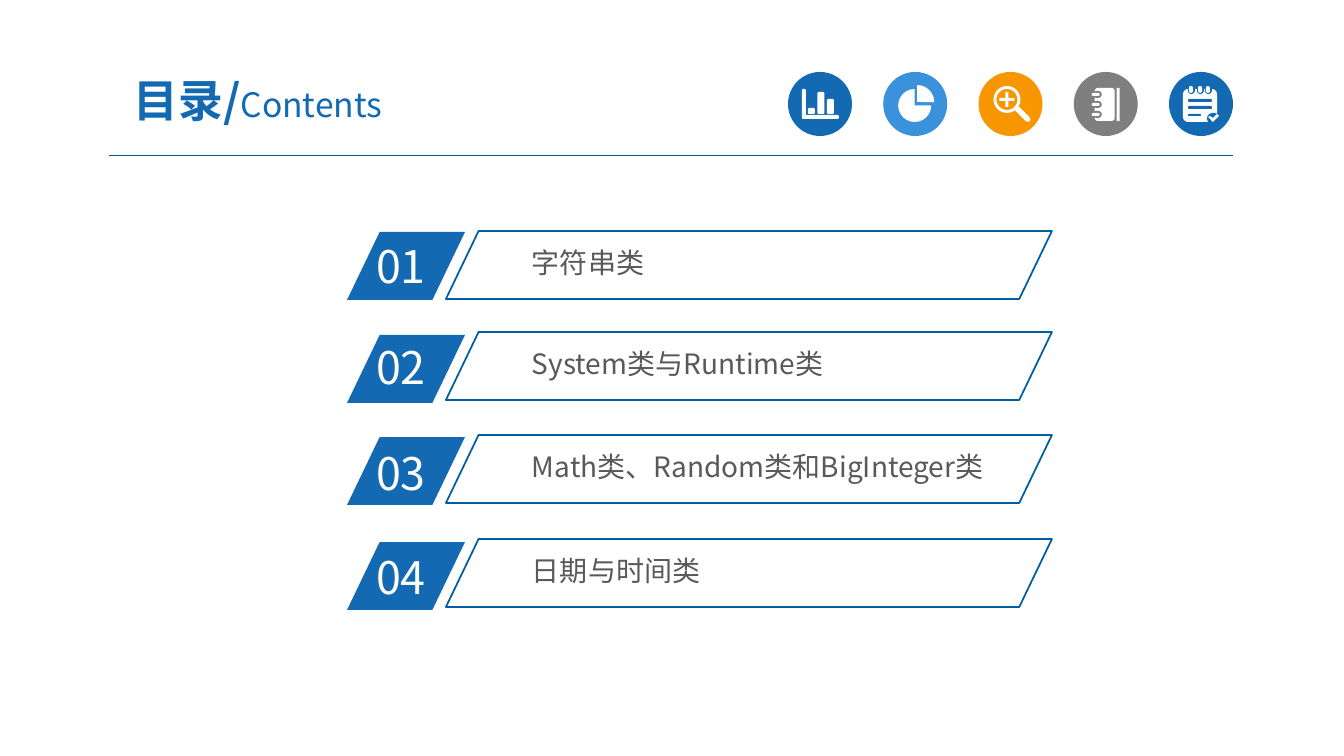
import lxml.etree
import pptx
import pptx.dml.color
import pptx.enum.shapes
import pptx.enum.text
import pptx.oxml.ns
import pptx.util

RGBColor = pptx.dml.color.RGBColor
SHAPE = pptx.enum.shapes.MSO_SHAPE
ALIGN = pptx.enum.text.PP_ALIGN
ANCHOR = pptx.enum.text.MSO_ANCHOR

BLUE = RGBColor(0x13, 0x69, 0xB2)
SKY = RGBColor(0x39, 0x92, 0xDB)
ORANGE = RGBColor(0xF7, 0x96, 0x00)
GRAY = RGBColor(0x7F, 0x7F, 0x7F)
RULE = RGBColor(0x00, 0x5B, 0x9E)
OUTLINE = RGBColor(0x00, 0x5D, 0xA2)
INK = RGBColor(0x59, 0x59, 0x59)
WHITE = RGBColor(0xFF, 0xFF, 0xFF)

FONT = "Noto Sans CJK SC"
EMU_PER_PX = 914400 / 100.8
SLANT = 0.48


def px(length):
    return pptx.util.Emu(round(length * EMU_PER_PX))


def paint(shape, fill=None, line=None, weight=1.25):
    shape.shadow.inherit = False
    if fill is None:
        shape.fill.background()
    else:
        shape.fill.solid()
        shape.fill.fore_color.rgb = fill
    if line is None:
        shape.line.fill.background()
    else:
        shape.line.color.rgb = line
        shape.line.width = pptx.util.Pt(weight)


def add_preset(page, kind, box, adjust=(), **style):
    shape = page.shapes.add_shape(kind, *map(px, box))
    for index, value in enumerate(adjust):
        shape.adjustments[index] = value
    paint(shape, **style)


def add_outline(page, left, top, contours):
    """One white shape made of closed contours, placed from left and top."""
    placed = [[(px(left + x), px(top + y)) for x, y in points] for points in contours]
    builder = page.shapes.build_freeform(*placed[0][0])
    for points in placed:
        builder.move_to(*points[0])
        builder.add_line_segments(points[1:], close=True)
    paint(builder.convert_to_shape(), fill=WHITE)


def add_text(page, box, spans, color=INK, align=ALIGN.LEFT,
             anchor=ANCHOR.TOP, inset=(10, 5)):
    """Each span is (text, size in points, bold)."""
    frame = page.shapes.add_textbox(*map(px, box)).text_frame
    frame.word_wrap = True
    frame.vertical_anchor = anchor
    frame.margin_left = frame.margin_right = px(inset[0])
    frame.margin_top = frame.margin_bottom = px(inset[1])
    para = frame.paragraphs[0]
    para.alignment = align
    for text, size, bold in spans:
        span = para.add_run()
        span.text = text
        span.font.size = pptx.util.Pt(size)
        span.font.bold = bold
        span.font.color.rgb = color
        span.font.name = FONT
        east_asian = lxml.etree.SubElement(
            span.font._element, pptx.oxml.ns.qn("a:ea"))
        east_asian.set("typeface", FONT)


# Icon glyphs: each part is (shape kind, box inside the disc, adjustments)
def draw_parts(page, left, top, parts, color=WHITE):
    for kind, (x, y, width, height), adjust in parts:
        add_preset(page, kind, (left + x, top + y, width, height), adjust, fill=color)


def pill(x, y, width, height):
    return SHAPE.ROUNDED_RECTANGLE, (x, y, width, height), (0.5,)


def block(x, y, width, height):
    return SHAPE.ROUNDED_RECTANGLE, (x, y, width, height), (0.15,)


def bar_contour(x, bottom, width, height, cut=1):
    right, top = x + width, bottom - height
    return [(x + cut, top), (right - cut, top), (right, top + cut),
            (right, bottom - cut), (right - cut, bottom), (x + cut, bottom),
            (x, bottom - cut), (x, top + cut)]


def bars_icon(page, left, top, color):
    axes = [(14, 18), (15, 17), (17, 17), (18, 18), (18, 43), (50, 43),
            (51, 44), (51, 46), (50, 47), (15, 47), (14, 46)]
    bars = [bar_contour(20 + 9.5 * i, 42, 7, height)
            for i, height in enumerate((6, 22, 15))]
    add_outline(page, left, top, [axes] + bars)


def pie_icon(page, left, top, color):
    draw_parts(page, left, top, [(SHAPE.PIE, (15, 17, 33, 33), ()),
                                 (SHAPE.PIE, (17, 13, 34, 34), (162, 0))])


def magnifier_icon(page, left, top, color):
    draw_parts(page, left, top, [(SHAPE.DONUT, (15, 14, 27, 27), (0.11,)),
                                 (SHAPE.CROSS, (21, 20, 15, 15), (0.4,))])
    handle = [(36, 38), (40, 34), (51, 45), (52, 48), (50, 50), (47, 49)]
    add_outline(page, left, top, [handle])


def notebook_icon(page, left, top, color):
    draw_parts(page, left, top, [block(21, 16, 20, 33), block(43, 16, 3, 33)])
    rings = (22, 32, 42)
    draw_parts(page, left, top, [pill(19, y - 3, 9, 7) for y in rings], color)
    draw_parts(page, left, top, [pill(18, y - 1, 8, 3) for y in rings])


def notepad_icon(page, left, top, color):
    tabs = (22, 31, 39)
    draw_parts(page, left, top, [block(14, 17, 34, 33)])
    draw_parts(page, left, top,
               [pill(x - 3, 13, 7, 9) for x in tabs]
               + [pill(19, 27, 24, 3), pill(19, 34, 24, 3), pill(19, 42, 13, 2),
                  pill(38, 41, 13, 11)], color)
    draw_parts(page, left, top, [pill(x - 2, 14, 4, 7) for x in tabs])
    check = [(39, 45), (41, 44), (44, 46), (48, 42), (50, 44), (44, 50)]
    add_outline(page, left, top, [check])


def draw_icons(page, left, top, disc=64, pitch=95.25):
    icons = [(bars_icon, BLUE), (pie_icon, SKY), (magnifier_icon, ORANGE),
             (notebook_icon, GRAY), (notepad_icon, BLUE)]
    for index, (glyph, color) in enumerate(icons):
        x = left + index * pitch
        add_preset(page, SHAPE.OVAL, (x, top, disc, disc), fill=color)
        glyph(page, x, top, color)


def draw_header(page, left, top, width, height):
    # Title, icon row and the rule below them
    add_text(page, (left - 17, top, 332, 73),
             [("目录/", 32, True), ("Contents", 24, False)], color=BLUE,
             align=ALIGN.CENTER, anchor=ANCHOR.MIDDLE, inset=(13, 7))
    draw_icons(page, left + width - 445, top + 9)
    line = page.shapes.add_connector(
        pptx.enum.shapes.MSO_CONNECTOR.STRAIGHT, px(left), px(top + height),
        px(left + width), px(top + height))
    line.line.color.rgb = RULE
    line.line.width = pptx.util.Pt(0.75)
    lxml.etree.SubElement(line._element.spPr, pptx.oxml.ns.qn("a:effectLst"))


def draw_entry(page, left, top, number, badge_shift, number_shift, label):
    # Numbered badge, then the outlined label
    add_preset(page, SHAPE.PARALLELOGRAM, (left, top + badge_shift, 118, 68),
               (SLANT,), fill=BLUE)
    add_text(page, (left + 19, top + number_shift, 113, 64),
             [(f"{number:02}", 32, False)], color=WHITE)
    add_text(page, (left + 178, top + 10, 505, 41), [(label, 20, False)], inset=(7, 4))
    add_preset(page, SHAPE.PARALLELOGRAM, (left + 99, top, 606, 68), (SLANT,), line=OUTLINE)


def draw_contents(page, left, top):
    # Row offset, badge shift, number shift, label
    entries = [(0, 1, 3, "字符串类"),
               (101, 3, 3, "System类与Runtime类"),
               (204, 2, 6, "Math类、Random类和BigInteger类"),
               (308, 3, 6, "日期与时间类")]
    for number, (offset, *details) in enumerate(entries, 1):
        draw_entry(page, left, top + offset, number, *details)


def main():
    deck = pptx.Presentation()
    deck.slide_width, deck.slide_height = px(1344), px(756)
    page = deck.slides.add_slide(deck.slide_layouts[6])
    draw_header(page, 109, 63, 1124, 93)
    draw_contents(page, 347, 231)
    deck.save("out.pptx")


if __name__ == "__main__":
    main()
